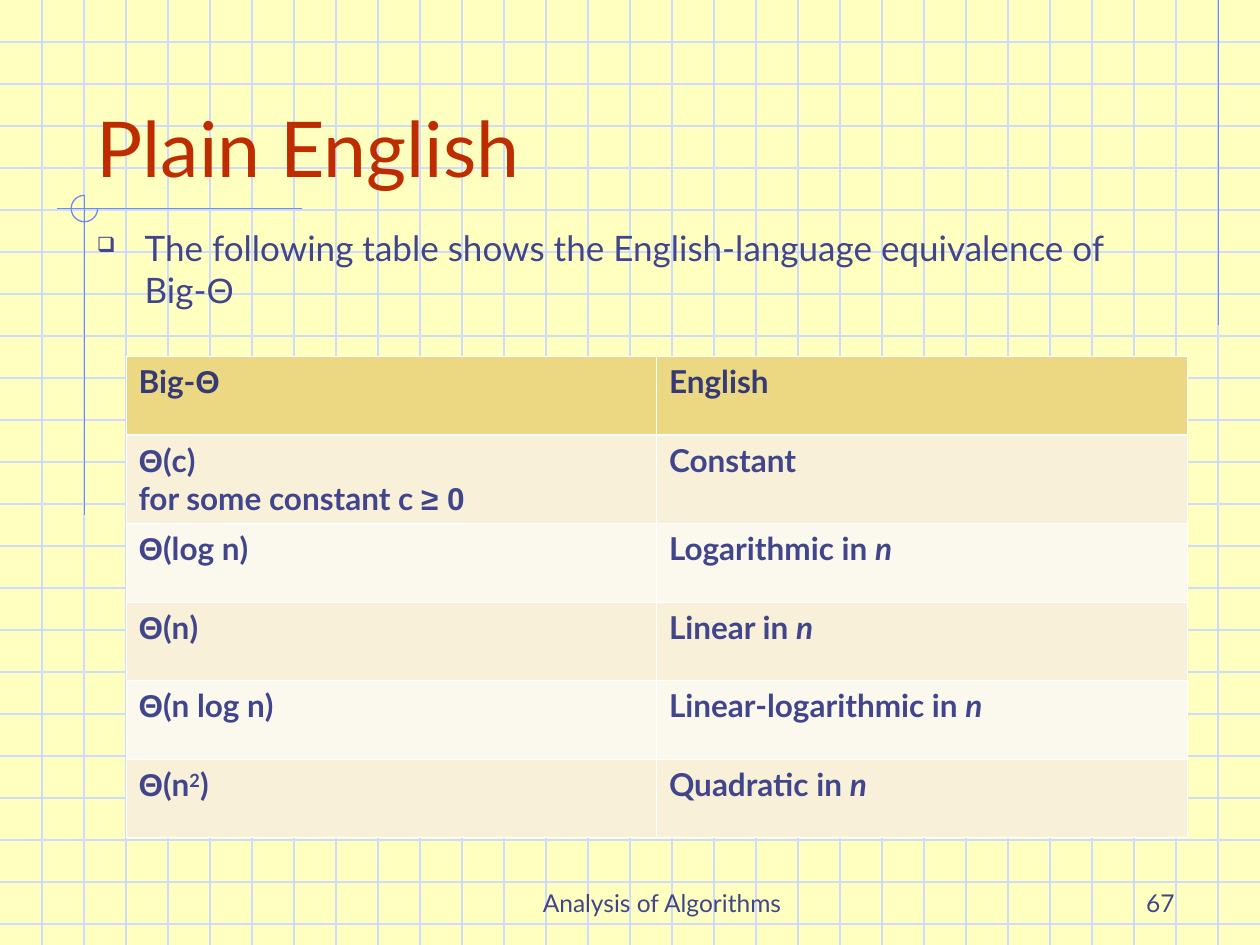
from dataclasses import dataclass

from lxml.etree import SubElement
from pptx import Presentation
from pptx.dml.color import RGBColor
from pptx.enum.shapes import MSO_CONNECTOR, MSO_SHAPE
from pptx.enum.text import MSO_ANCHOR, PP_ALIGN
from pptx.oxml.ns import qn
from pptx.util import Inches, Pt


@dataclass(frozen=True)
class Theme:
    paper: str = "FFFFC0"
    grid: str = "CFDBFD"
    accent: str = "6F89F7"
    title: str = "BE2D00"
    ink: str = "40458C"
    header_ink: str = "353A77"
    header_fill: str = "ECD882"
    bands: tuple = ("F8F0D8", "FBF8ED")
    border: str = "FFFFFF"
    font: str = "Lato"
    symbol_font: str = "Arial"
    title_size: float = 44
    body_size: float = 20
    table_size: float = 18
    footer_size: float = 14
    line_width: float = 0.75
    border_width: float = 0.45
    header_rule: float = 1.47


THEME = Theme()
WIDTH, HEIGHT = 10, 7.5
SYMBOL = {"font": THEME.symbol_font}
ITALIC = {"italic": True}
THETA = ("Θ", SYMBOL)
VARIABLE = ("n", ITALIC)

HEADER = ([("Big-", {}), THETA], [("English", {})])
ROWS = [
    ([THETA, ("(c)\nfor some constant c ", {}), ("≥ 0", SYMBOL)], [("Constant", {})]),
    ([THETA, ("(log n)", {})], [("Logarithmic in ", {}), VARIABLE]),
    ([THETA, ("(n)", {})], [("Linear in ", {}), VARIABLE]),
    ([THETA, ("(n log n)", {})], [("Linear-logarithmic in ", {}), VARIABLE]),
    (
        [THETA, ("(n", {}), ("2", {"baseline": 30000}), (")", {})],
        [("Quadratic in ", {}), VARIABLE],
    ),
]


def color(value):
    return RGBColor.from_string(value)


def add_text(para, text, *, size, ink=THEME.ink, font=THEME.font,
             bold=False, italic=False, baseline=None):
    for index, part in enumerate(text.split("\n")):
        if index:
            para.add_line_break()
        span = para.add_run()
        span.text = part
        span.font.name = font
        span.font.size = Pt(size)
        span.font.bold = bold
        span.font.italic = italic
        span.font.color.rgb = color(ink)
        if baseline:
            span.font._element.set("baseline", str(baseline))


def add_textbox(page, box, spans, *, anchor=MSO_ANCHOR.TOP, align=PP_ALIGN.LEFT, **style):
    frame = page.shapes.add_textbox(*map(Inches, box)).text_frame
    frame.word_wrap = True
    frame.vertical_anchor = anchor
    para = frame.paragraphs[0]
    para.alignment = align
    for text, extra in spans:
        add_text(para, text, **{**style, **extra})
    return para


def add_line(page, start, end, ink):
    line = page.shapes.add_connector(
        MSO_CONNECTOR.STRAIGHT, *map(Inches, (*start, *end)))
    line.line.color.rgb = color(ink)
    line.line.width = Pt(THEME.line_width)
    SubElement(line._element.spPr, qn("a:effectLst"))


def draw_grid(page, box, step=1 / 3):
    left, top, width, height = box
    right, bottom = left + width, top + height
    for index in range(1, int(height / step) + 1):
        y = top + index * step
        add_line(page, (left, y), (right, y), THEME.grid)
    for index in range(1, round(width / step)):
        x = left + index * step
        add_line(page, (x, top), (x, bottom), THEME.grid)


def draw_ornament(page, box):
    left, top, width, height = box
    size = 0.21
    center = left + 0.22
    add_line(page, (left, top + size / 2), (left + width, top + size / 2), THEME.accent)
    add_line(page, (center, top), (center, top + height), THEME.accent)
    arc = page.shapes.add_shape(
        MSO_SHAPE.ARC, *map(Inches, (center - size / 2, top, size, size)))
    arc.adjustments[0] = 0
    arc.adjustments[1] = 162
    arc.shadow.inherit = False
    arc.fill.background()
    arc.line.color.rgb = color(THEME.accent)
    arc.line.width = Pt(THEME.line_width)


def draw_title(page, box):
    add_textbox(page, box, [("Plain English", {})], anchor=MSO_ANCHOR.BOTTOM,
                size=THEME.title_size, ink=THEME.title)


def draw_body(page, box):
    text = "The following table shows the English-language equivalence of Big-"
    para = add_textbox(page, box, [(text, {}), THETA], size=THEME.body_size)
    properties = para._p.get_or_add_pPr()
    properties.set("marL", str(Inches(0.38)))
    properties.set("indent", str(Inches(-0.38)))
    bullet_color = SubElement(properties, qn("a:buClr"))
    SubElement(bullet_color, qn("a:srgbClr"), val=THEME.ink)
    SubElement(properties, qn("a:buSzPct"), val="60000")
    SubElement(properties, qn("a:buChar"), char="❑")


def set_borders(cell, widths):
    properties = cell._tc.get_or_add_tcPr()
    for side, width in widths.items():
        edge = SubElement(properties, qn(f"a:ln{side}"), w=str(Pt(width)))
        fill = SubElement(edge, qn("a:solidFill"))
        SubElement(fill, qn("a:srgbClr"), val=THEME.border)


def draw_table(page, box):
    content = [HEADER, *ROWS]
    table = page.shapes.add_table(len(content), len(HEADER), *map(Inches, box)).table
    tall_row = 0.7
    row_height = (box[3] - tall_row) / (len(content) - 1)
    for column in table.columns:
        column.width = Inches(box[2] / len(HEADER))
    for index, row in enumerate(content):
        is_header = index == 0
        table.rows[index].height = Inches(tall_row if index == 1 else row_height)
        widths = dict.fromkeys("LRTB", THEME.border_width)
        if index < 2:
            widths["B" if is_header else "T"] = THEME.header_rule
        for column, spans in enumerate(row):
            cell = table.cell(index, column)
            set_borders(cell, widths)
            cell.fill.solid()
            cell.fill.fore_color.rgb = color(
                THEME.header_fill if is_header else THEME.bands[(index - 1) % 2])
            for text, extra in spans:
                add_text(cell.text_frame.paragraphs[0], text, size=THEME.table_size,
                         bold=True, ink=THEME.header_ink if is_header else THEME.ink,
                         **extra)


def draw_footer(page, box):
    left, top, width, height = box
    style = {"anchor": MSO_ANCHOR.BOTTOM, "size": THEME.footer_size}
    add_textbox(page, (left, top, 3.17, height), [("Analysis of Algorithms", {})],
                align=PP_ALIGN.CENTER, **style)
    add_textbox(page, (left + width - 2.08, top, 2.08, height), [("67", {})],
                align=PP_ALIGN.RIGHT, **style)


def main():
    deck = Presentation()
    deck.slide_width, deck.slide_height = Inches(WIDTH), Inches(HEIGHT)
    page = deck.slides.add_slide(deck.slide_layouts[6])
    page.background.fill.solid()
    page.background.fill.fore_color.rgb = color(THEME.paper)
    draw_grid(page, (0, 0, WIDTH, HEIGHT))
    add_line(page, (9.67, 0), (9.67, 2.58), THEME.accent)
    draw_ornament(page, (0.45, 1.55, 1.95, 2.54))
    draw_footer(page, (3.67, 6.83, 5.75, 0.5))
    draw_title(page, (0.67, 0.33, 8.5, 1.25))
    draw_body(page, (0.67, 1.75, 8.33, 5.25))
    draw_table(page, (1, 2.83, 8.42, 3.82))
    deck.save("out.pptx")


if __name__ == "__main__":
    main()
